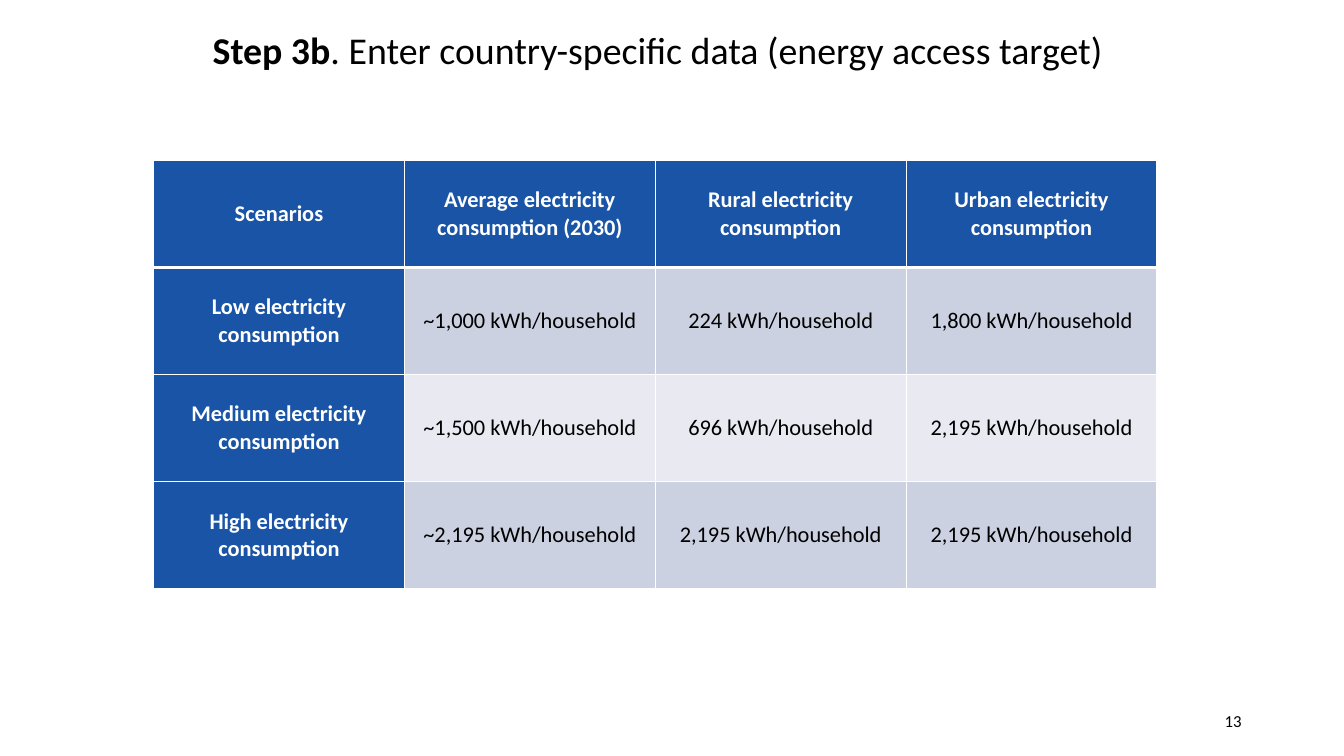
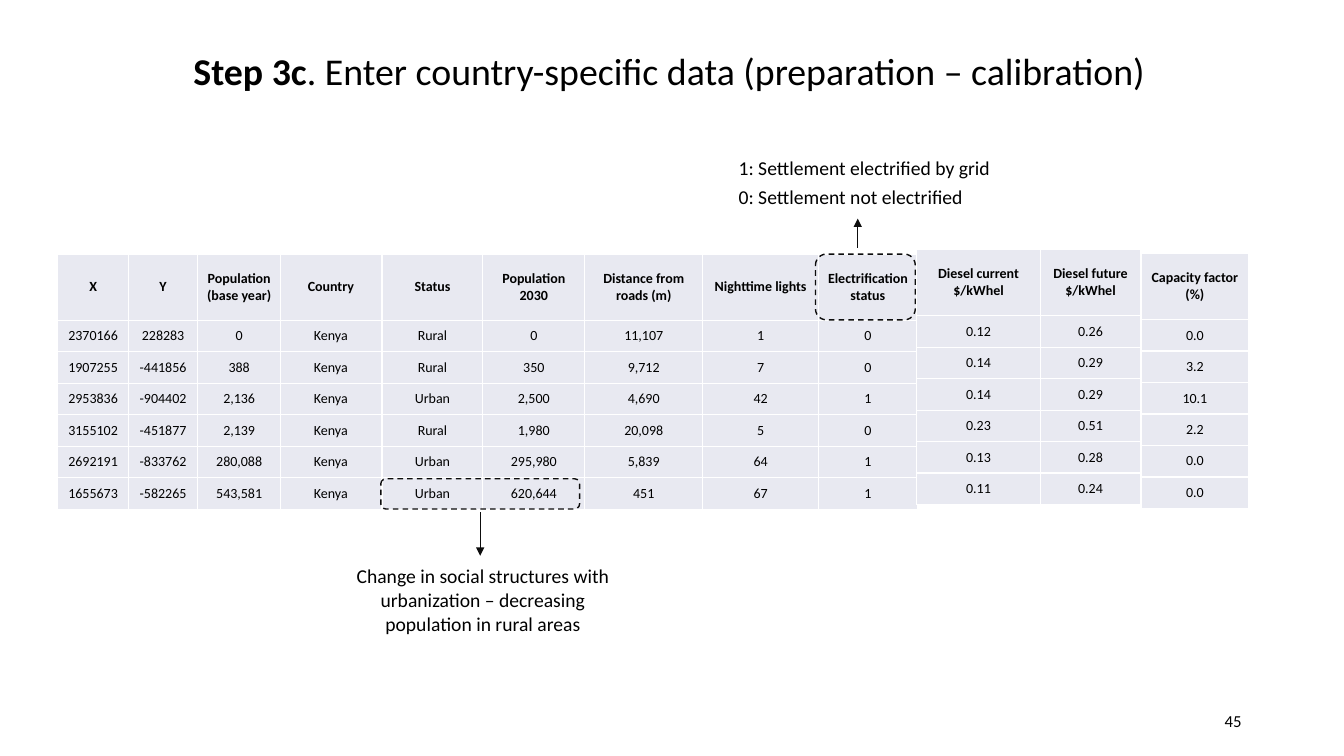
from lxml import etree
from pptx import Presentation
from pptx.dml.color import RGBColor
from pptx.enum import dml, shapes, text
from pptx.oxml import ns
from pptx.util import Pt

FONT = "Calibri"
BLACK = RGBColor(0, 0, 0)
WHITE = RGBColor(255, 255, 255)
INK = RGBColor(0x0D, 0x0D, 0x0D)
BLUE = RGBColor(0x19, 0x54, 0xA6)
BAND_DARK = RGBColor(0xCC, 0xD1, 0xE1)
BAND_LIGHT = RGBColor(0xE8, 0xE9, 0xF1)

LEFT, CENTER, RIGHT = text.PP_ALIGN.LEFT, text.PP_ALIGN.CENTER, text.PP_ALIGN.RIGHT
TOP, MIDDLE = text.MSO_ANCHOR.TOP, text.MSO_ANCHOR.MIDDLE

SCENARIOS = [
    ["Scenarios", "Average electricity consumption (2030)",
     "Rural electricity consumption", "Urban electricity consumption"],
    ["Low electricity consumption", "~1,000 kWh/household",
     "224 kWh/household", "1,800 kWh/household"],
    ["Medium electricity consumption", "~1,500 kWh/household",
     "696 kWh/household", "2,195 kWh/household"],
    ["High electricity consumption", "~2,195 kWh/household",
     "2,195 kWh/household", "2,195 kWh/household"],
]

# Each block: left, top, then columns of (width, header, values)
SETTLEMENT_BLOCKS = [
    (41, 181.5, [
        (51, "X", "2370166 1907255 2953836 3155102 2692191 1655673"),
        (49, "Y", "228283 -441856 -904402 -451877 -833762 -582265")]),
    (141.3, 181.5, [
        (59, "Population (base year)", "0 388 2,136 2,139 280,088 543,581"),
        (72, "Country", "Kenya Kenya Kenya Kenya Kenya Kenya")]),
    (272.9, 181.5, [
        (72, "Status", "Rural Rural Urban Rural Urban Urban"),
        (72.8, "Population\n2030", "0 350 2,500 1,980 295,980 620,644")]),
    (417.7, 181.5, [
        (84.2, "Distance from roads (m)", "11,107 9,712 4,690 20,098 5,839 451")]),
    (501.9, 181.5, [(82.8, "Nighttime lights", "1 7 42 5 64 67")]),
    (584.7, 181.5, [(70.4, "Electrification status", "0 0 1 0 1 1")]),
    (654.8, 178.2, [
        (88.3, "Diesel current $/kWhel", "0.12 0.14 0.14 0.23 0.13 0.11"),
        (71.7, "Diesel future $/kWhel", "0.26 0.29 0.29 0.51 0.28 0.24")]),
    (815, 181, [(77, "Capacity factor (%)", "0.0 3.2 10.1 2.2 0.0 0.0")]),
]


def write(frame, *paras, size, color=BLACK, bold=False, align=LEFT, anchor=TOP,
          line_spacing=None, after=()):
    """Fill a text frame; a paragraph is a string or a list of (text, bold) spans."""
    frame.word_wrap = True
    frame.vertical_anchor = anchor
    for index, spans in enumerate(paras):
        para = frame.paragraphs[0] if index == 0 else frame.add_paragraph()
        para.alignment = align
        if line_spacing:
            para.line_spacing = line_spacing
        if after:
            para.space_after = Pt(after[index])
        for words, strong in [(spans, bold)] if isinstance(spans, str) else spans:
            span = para.add_run()
            span.text = words
            span.font.name = FONT
            span.font.size = Pt(size)
            span.font.bold = strong
            span.font.color.rgb = color


def add_text(page, left, top, width, height, *paras, **style):
    box = page.shapes.add_textbox(Pt(left), Pt(top), Pt(width), Pt(height))
    write(box.text_frame, *paras, **style)


def add_page(deck, step, topic, title_place, number):
    """Add a slide with its two-weight title and page number."""
    page = deck.slides.add_slide(deck.slide_layouts[5])
    title = page.shapes.title
    title.left, title.top, title.width, title.height = map(Pt, title_place)
    title.text_frame.auto_size = text.MSO_AUTO_SIZE.NONE
    write(title.text_frame, [(step, True), (f". {topic}", False)],
          size=27, anchor=MIDDLE, line_spacing=0.9)
    add_text(page, 678, 500, 216, 29, number, size=12, align=RIGHT, anchor=MIDDLE)
    return page


def set_borders(cell, **widths):
    """Draw white cell borders, 1 pt unless a side (L, R, T, B) says otherwise."""
    props = cell._tc.get_or_add_tcPr()
    for side in "LRTB":
        line = etree.SubElement(props, ns.qn(f"a:ln{side}"), w=str(Pt(widths.get(side, 1))))
        fill = etree.SubElement(line, ns.qn("a:solidFill"))
        etree.SubElement(fill, ns.qn("a:srgbClr"), val=str(WHITE))


def add_grid(page, left, top, widths, heights, rows, look):
    """Add a table; look(row, column) gives fill, margins, borders and text style."""
    frame = page.shapes.add_table(len(rows), len(widths), Pt(left), Pt(top),
                                  Pt(sum(widths)), Pt(sum(heights)))
    table = frame.table
    table.horz_banding = False
    for column, width in zip(table.columns, widths):
        column.width = Pt(width)
    for row, height in zip(table.rows, heights):
        row.height = Pt(height)
    for r, values in enumerate(rows):
        for c, value in enumerate(values):
            cell = table.cell(r, c)
            fill, margin, borders, style = look(r, c)
            set_borders(cell, **borders)
            cell.fill.solid()
            cell.fill.fore_color.rgb = fill
            cell.margin_left = cell.margin_right = Pt(margin)
            cell.margin_top = cell.margin_bottom = 0
            write(cell.text_frame, *value.split("\n"), align=CENTER, **style)
            cell.vertical_anchor = MIDDLE


def scenario_look(row, column):
    heading = row == 0 or column == 0
    fill = BLUE if heading else BAND_DARK if row % 2 else BAND_LIGHT
    borders = {0: {"B": 3}, 1: {"T": 3}}.get(row, {})
    return fill, 5, borders, dict(size=16, bold=heading, color=WHITE if heading else BLACK)


def settlement_look(row, column):
    return BAND_LIGHT, 0.7, {}, dict(size=10, bold=row == 0)


def add_highlight(page, left, top, width, height):
    """Add a dashed rounded outline."""
    outline = page.shapes.add_shape(shapes.MSO_SHAPE.ROUNDED_RECTANGLE,
                                    Pt(left), Pt(top), Pt(width), Pt(height))
    outline.shadow.inherit = False
    outline.fill.background()
    outline.line.color.rgb = INK
    outline.line.width = Pt(1)
    outline.line.dash_style = dml.MSO_LINE.DASH


def add_arrow(page, x, start, end):
    """Add a vertical arrow that points to end."""
    arrow = page.shapes.add_connector(shapes.MSO_CONNECTOR.STRAIGHT,
                                      Pt(x), Pt(start), Pt(x), Pt(end))
    arrow.line.color.rgb = INK
    arrow.line.width = Pt(0.5)
    etree.SubElement(arrow.line._get_or_add_ln(), ns.qn("a:tailEnd"), type="triangle")
    etree.SubElement(arrow._element.spPr, ns.qn("a:effectLst"))


def add_target_page(deck):
    page = add_page(deck, "Step 3b", "Enter country-specific data (energy access target)",
                    (144.7, 19.5, 668, 35), "13")
    add_grid(page, 109.7, 114.5, [179.2] * 4, [76.5] * 4, SCENARIOS, scenario_look)


def add_calibration_page(deck):
    page = add_page(deck, "Step 3c", "Enter country-specific data (preparation – calibration)",
                    (131, 34.5, 707, 35), "45")
    for left, top, columns in SETTLEMENT_BLOCKS:
        widths, headers, values = zip(*columns)
        rows = [headers, *zip(*(column.split() for column in values))]
        add_grid(page, left, top, widths, [47.3] + [22.5] * 6, rows, settlement_look)

    add_highlight(page, 272, 342, 142, 21.6)
    add_arrow(page, 343, 366, 397)
    add_text(page, 244, 399.6, 202, 58,
             "Change in social structures with urbanization – decreasing "
             "population in rural areas", size=14, align=CENTER, after=[24])

    add_highlight(page, 582.5, 181.5, 71.3, 47)
    add_arrow(page, 612.7, 177, 156.2)
    add_text(page, 520.5, 108, 198, 45, "1: Settlement electrified by grid",
             "0: Settlement not electrified", size=14, after=[4, 24])


def main():
    deck = Presentation()
    deck.slide_width, deck.slide_height = Pt(960), Pt(540)
    add_target_page(deck)
    add_calibration_page(deck)
    deck.save("out.pptx")


if __name__ == "__main__":
    main()
